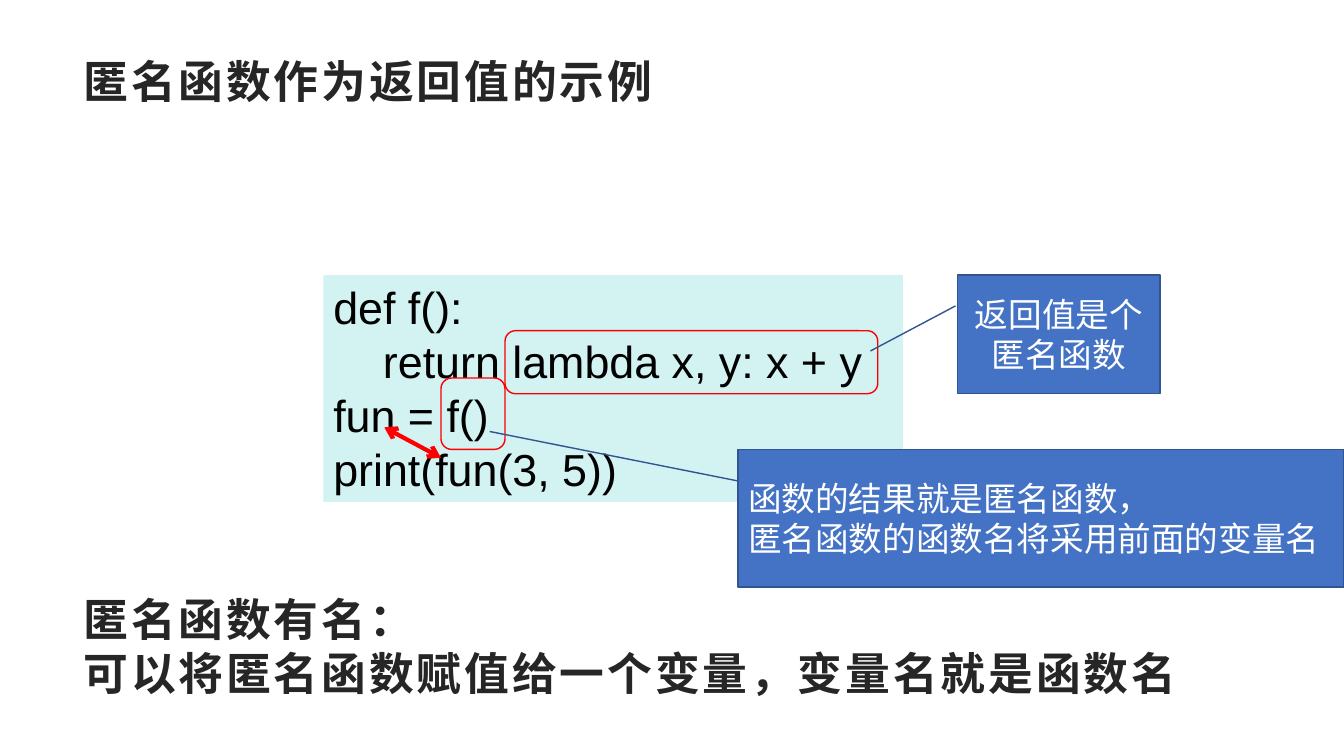
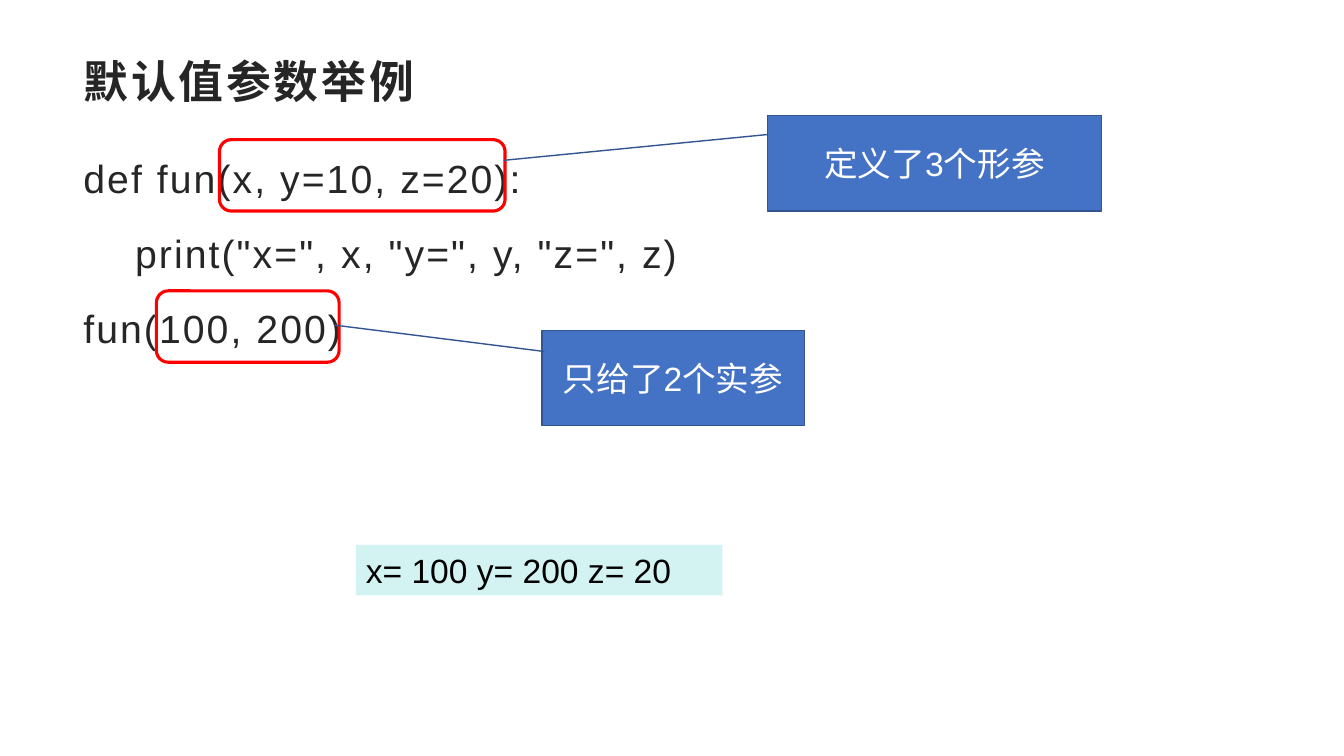
from dataclasses import dataclass

from lxml.etree import SubElement
from pptx import Presentation
from pptx.dml.color import RGBColor
from pptx.enum.shapes import MSO_CONNECTOR, MSO_SHAPE
from pptx.enum.text import MSO_ANCHOR, PP_ALIGN
from pptx.oxml.ns import qn
from pptx.util import Pt

PX = 9525


@dataclass(frozen=True)
class Theme:
    font: str = "Arial"
    ink: RGBColor = RGBColor(0x26, 0x26, 0x26)
    code_ink: RGBColor = RGBColor(0, 0, 0)
    panel: RGBColor = RGBColor(0xD3, 0xF2, 0xF2)
    mark: RGBColor = RGBColor(0xFF, 0, 0)
    note: RGBColor = RGBColor(0x44, 0x72, 0xC4)
    note_line: RGBColor = RGBColor(0x32, 0x54, 0x91)
    note_ink: RGBColor = RGBColor(0xFF, 0xFF, 0xFF)
    title_size: int = 32
    body_size: int = 28
    note_size: int = 24
    title_tracking: int = 200
    body_tracking: int = 150
    thin: float = 1
    medium: float = 2.25
    thick: float = 3


THEME = Theme()


@dataclass(frozen=True)
class Box:
    left: int
    top: int
    width: int
    height: int

    def inside(self, left, top, width, height):
        return Box(self.left + left, self.top + top, width, height)

    def emu(self):
        return [side * PX for side in (self.left, self.top, self.width, self.height)]


PAGE = Box(0, 0, 1280, 720)
TITLE = PAGE.inside(70, 46, 1140, 71)


def write(shape, text, size, color, bold=False, tracking=0, align=PP_ALIGN.LEFT):
    frame = shape.text_frame
    frame.word_wrap = True
    frame.text = text
    for paragraph in frame.paragraphs:
        paragraph.alignment = align
        for span in paragraph.runs:
            span.font.name = THEME.font
            span.font.size = Pt(size)
            span.font.bold = bold
            span.font.color.rgb = color
            if tracking:
                span.font._element.set("spc", str(tracking))
    return frame


def add_text(page, box, text, size, color, **style):
    shape = page.shapes.add_textbox(*box.emu())
    write(shape, text, size, color, **style).vertical_anchor = MSO_ANCHOR.TOP
    return shape


def add_heading(page, box, text):
    add_text(page, box, text, THEME.title_size, THEME.ink,
             bold=True, tracking=THEME.title_tracking)


def add_panel(page, box, text, size):
    panel = add_text(page, box, text, size, THEME.code_ink)
    panel.fill.solid()
    panel.fill.fore_color.rgb = THEME.panel


def add_mark(page, box, weight):
    mark = page.shapes.add_shape(MSO_SHAPE.ROUNDED_RECTANGLE, *box.emu())
    mark.shadow.inherit = False
    mark.fill.background()
    mark.line.color.rgb = THEME.mark
    mark.line.width = Pt(weight)


def add_callout(page, box, text, pointer, align=PP_ALIGN.CENTER):
    callout = page.shapes.add_shape(MSO_SHAPE.LINE_CALLOUT_1, *box.emu())
    callout.shadow.inherit = False
    callout.fill.solid()
    callout.fill.fore_color.rgb = THEME.note
    callout.line.color.rgb = THEME.note_line
    callout.line.width = Pt(THEME.thin)
    for index, ratio in enumerate(pointer):
        callout.adjustments[index] = ratio
    frame = write(callout, text, THEME.note_size, THEME.note_ink, align=align)
    frame.vertical_anchor = MSO_ANCHOR.MIDDLE


def add_double_arrow(page, box):
    left, top, width, height = box.emu()
    arrow = page.shapes.add_connector(
        MSO_CONNECTOR.STRAIGHT, left, top, left + width, top + height)
    arrow.line.color.rgb = THEME.mark
    arrow.line.width = Pt(THEME.thick)
    line = arrow.line._get_or_add_ln()
    for end in ("a:headEnd", "a:tailEnd"):
        SubElement(line, qn(end)).set("type", "arrow")
    SubElement(arrow._element.spPr, qn("a:effectLst"))


def add_lambda_code(page, box):
    add_panel(page, box,
              "def f():\n    return lambda x, y: x + y\nfun = f()\nprint(fun(3, 5))",
              THEME.title_size)
    add_mark(page, box.inside(173, 53, 355, 60), THEME.thin)
    add_callout(page, box.inside(604, 0, 193, 113), "返回值是个匿名函数",
                (0.26, -0.01, 0.64, -0.43))
    add_double_arrow(page, box.inside(58, 145, 54, 29))
    add_mark(page, box.inside(112, 98, 61, 68), THEME.thin)
    add_callout(page, box.inside(395, 166, 577, 131),
                "函数的结果就是匿名函数，\n匿名函数的函数名将采用前面的变量名",
                (0.23, 0, -0.13, -0.41), PP_ALIGN.LEFT)


def add_default_code(page, box):
    code = add_text(page, box,
                    'def fun(x, y=10, z=20):\n'
                    '    print("x=", x, "y=", y, "z=", z)\n'
                    'fun(100, 200)',
                    THEME.body_size, THEME.ink, tracking=THEME.body_tracking)
    for paragraph in code.text_frame.paragraphs:
        paragraph.line_spacing = 1.3
        paragraph.space_after = Pt(10)
    add_mark(page, box.inside(139, 4, 272, 68), THEME.medium)
    add_callout(page, box.inside(661, -19, 318, 91), "定义了3个形参",
                (0.2, 0, 0.47, -0.79))
    add_mark(page, box.inside(79, 148, 174, 68), THEME.medium)
    add_callout(page, box.inside(446, 186, 250, 90), "只给了2个实参",
                (0.22, 0.01, -0.06, -0.79))


def build_return_slide(page):
    add_heading(page, TITLE, "匿名函数作为返回值的示例")
    add_heading(page, PAGE.inside(70, 559, 1140, 122),
                "匿名函数有名：\n可以将匿名函数赋值给一个变量，变量名就是函数名")
    add_lambda_code(page, PAGE.inside(308, 262, 552, 216))


def build_default_slide(page):
    add_heading(page, TITLE, "默认值参数举例")
    add_default_code(page, PAGE.inside(70, 129, 1140, 537))
    add_panel(page, PAGE.inside(339, 519, 349, 48), "x= 100 y= 200 z= 20",
              THEME.note_size)


def main():
    deck = Presentation()
    deck.slide_width = PAGE.width * PX
    deck.slide_height = PAGE.height * PX
    blank = deck.slide_layouts[6]
    for build in (build_return_slide, build_default_slide):
        build(deck.slides.add_slide(blank))
    deck.save("out.pptx")


if __name__ == "__main__":
    main()
